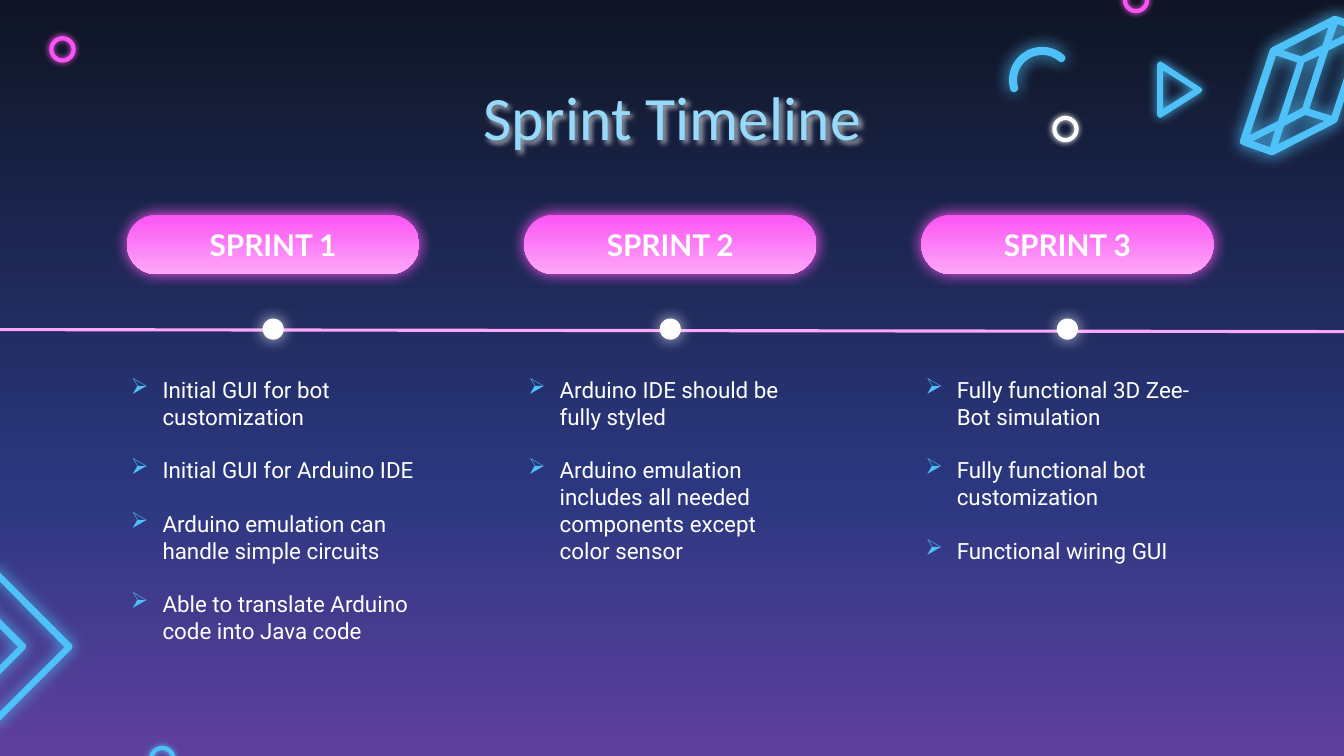
from dataclasses import dataclass
from copy import deepcopy
from math import cos, radians, sin

from lxml.etree import SubElement
from pptx import Presentation
from pptx.dml.color import RGBColor as Rgb
from pptx.enum.shapes import MSO_CONNECTOR as Link, MSO_SHAPE as Preset
from pptx.enum.text import MSO_ANCHOR as Anchor, PP_ALIGN as Align
from pptx.oxml.ns import qn
from pptx.util import Emu, Pt

# Grid: square cells of a tenth of an inch, 75 rows high
CELL = 91440
ROWS = 75
WIDTH = 12192000


@dataclass(frozen=True)
class Theme:
    night: str = "0F1524"
    navy: str = "2B3880"
    violet: str = "5F3F9E"
    blue: str = "4FC1F9"
    sky: str = "95DAFB"
    pink: str = "FB54F4"
    rose: str = "FDA7F9"
    white: str = "FFFFFF"
    title_font: str = "Calibri"
    label_font: str = "Lato"
    body_font: str = "Roboto"
    title_size: float = 44
    label_size: float = 21.3
    body_size: float = 16
    item_gap: float = 19
    inset: float = 1.3
    indent: float = 3.13


def cells(*counts):
    return [Emu(round(count * CELL)) for count in counts]


class Board:
    def __init__(self, slide, theme):
        self.slide, self.shapes, self.theme = slide, slide.shapes, theme

    def gradient(self, fill, owner, stops):
        fill.gradient()
        fill.gradient_angle = 270
        stop_list = owner.xpath(".//a:gsLst")[0]
        while len(stop_list) < len(stops):
            stop_list.append(deepcopy(stop_list[0]))
        for stop, (position, color) in zip(fill.gradient_stops, stops):
            stop.position = position
            stop.color.rgb = Rgb.from_string(color)

    def backdrop(self, stops):
        self.gradient(self.slide.background.fill, self.slide.element, stops)

    def glow(self, shape, color, blur, alpha=100, distance=0):
        properties = shape.element.spPr
        for effects in properties.findall(qn("a:effectLst")):
            properties.remove(effects)
        effects = SubElement(properties, qn("a:effectLst"))
        shadow = SubElement(effects, qn("a:outerShdw"), blurRad=str(Pt(blur)),
                            dist=str(Pt(distance)), dir="2700000",
                            algn="ctr", rotWithShape="0")
        tint = SubElement(shadow, qn("a:srgbClr"), val=color)
        SubElement(tint, qn("a:alpha"), val=str(alpha * 1000))

    def outline(self, contours, blur):
        """Fill closed contours as one shape; inner contours become holes."""
        scaled = [[(x * 100, y * 100) for x, y in contour] for contour in contours]
        builder = self.shapes.build_freeform(*scaled[0][0], scale=CELL / 100)
        for number, points in enumerate(scaled):
            if number:
                builder.move_to(*points[0])
            builder.add_line_segments(points[1:], close=True)
        figure = builder.convert_to_shape()
        figure.fill.solid()
        figure.fill.fore_color.rgb = Rgb.from_string(self.theme.blue)
        figure.line.fill.background()
        self.glow(figure, self.theme.blue, blur)

    def ring(self, left, top, color):
        ring = self.shapes.add_shape(Preset.OVAL, *cells(left, top, 2.2, 2.2))
        ring.fill.background()
        ring.line.color.rgb = Rgb.from_string(color)
        ring.line.width = Pt(3)
        self.glow(ring, color, 4.5)

    def dot(self, center, middle, size):
        dot = self.shapes.add_shape(
            Preset.OVAL, *cells(center - size / 2, middle - size / 2, size, size))
        dot.fill.solid()
        dot.fill.fore_color.rgb = Rgb.from_string(self.theme.white)
        dot.line.fill.background()
        self.glow(dot, self.theme.white, 11.2, 76)

    def line(self, start, end):
        line = self.shapes.add_connector(Link.STRAIGHT, *cells(*start, *end))
        line.line.color.rgb = Rgb.from_string(self.theme.rose)
        line.line.width = Pt(2.25)
        SubElement(line.element.spPr, qn("a:effectLst"))

    def frame(self, shape, anchor=Anchor.TOP):
        frame = shape.text_frame
        frame.word_wrap = True
        frame.vertical_anchor = anchor
        inset, = cells(self.theme.inset)
        frame.margin_left = frame.margin_right = inset
        frame.margin_top = frame.margin_bottom = inset
        return frame

    def words(self, paragraph, text, font, size, color, bold=False, align=Align.LEFT):
        paragraph.alignment = align
        run = paragraph.add_run()
        run.text = text
        run.font.name, run.font.size, run.font.bold = font, Pt(size), bold
        run.font.color.rgb = Rgb.from_string(color)

    def title(self, text, *box):
        heading = self.shapes.add_textbox(*cells(*box))
        self.words(self.frame(heading).paragraphs[0], text, self.theme.title_font,
                   self.theme.title_size, self.theme.sky, align=Align.CENTER)
        self.glow(heading, self.theme.white, 4, 60, 2.5)

    def pill(self, text, *box):
        pill = self.shapes.add_shape(Preset.ROUNDED_RECTANGLE, *cells(*box))
        pill.adjustments[0] = 0.5
        self.gradient(pill.fill, pill.element,
                      [(0, self.theme.pink), (1, self.theme.rose)])
        pill.line.fill.background()
        self.glow(pill, self.theme.pink, 11.2)
        self.words(self.frame(pill, Anchor.MIDDLE).paragraphs[0], text,
                   self.theme.label_font, self.theme.label_size, self.theme.white,
                   bold=True, align=Align.CENTER)

    def bullets(self, items, *box):
        frame = self.frame(self.shapes.add_textbox(*cells(*box)))
        indent, = cells(self.theme.indent)
        for number, item in enumerate(items):
            goal = frame.add_paragraph() if number else frame.paragraphs[0]
            props = goal._p.get_or_add_pPr()
            props.set("marL", str(indent))
            props.set("indent", str(-indent))
            tint = SubElement(props, qn("a:buClr"))
            SubElement(tint, qn("a:srgbClr"), val=self.theme.blue)
            SubElement(props, qn("a:buChar"), char="➢")
            if number:
                goal.space_before = Pt(self.theme.item_gap)
            self.words(goal, item, self.theme.body_font, self.theme.body_size,
                       self.theme.white)


def arc(x, y, radius, start, end, steps):
    turns = [radians(start + (end - start) * i / steps) for i in range(steps + 1)]
    return [(x + radius * cos(turn), y + radius * sin(turn)) for turn in turns]


def round_arc(x, y, radius, half, start, end):
    """Outline of a thick arc with round ends."""
    tail, head = arc(x, y, radius, start, end, 1)
    return (arc(x, y, radius + half, start, end, 24)
            + arc(*head, half, end, end + 180, 8)
            + arc(x, y, radius - half, end, start, 24)
            + arc(*tail, half, start + 180, start + 360, 8))


PRISM = [
    [(132.6, 1.6), (132.3, 1.6), (126.2, 4.7), (126, 4.9), (123, 14), (123, 14.2),
     (123.3, 14.4), (126.1, 15.4), (126.3, 15.4), (132.5, 12.2), (132.7, 12),
     (135.6, 3), (135.6, 2.7), (135.4, 2.5)],
    [(134.3, 3), (132.1, 4.1), (132.7, 2.4)],
    [(131.8, 2.7), (131.2, 4.5), (129.1, 5.6), (127.3, 5)],
    [(134.7, 3.6), (132.1, 11.5), (129.9, 10.8), (131.8, 5)],
    [(130.9, 5.5), (129.2, 10.7), (127.7, 11.5), (129.4, 6.2)],
    [(128.7, 6.2), (126.8, 12), (124, 13.4), (126.6, 5.5)],
    [(131.4, 12), (126.8, 14.3), (127.4, 12.5), (129.5, 11.4)],
    [(126.5, 12.9), (126, 14.6), (124.3, 14)],
]
TRIANGLE = [
    [(115.1, 6.1), (114.9, 6.2), (114.8, 6.4), (114.8, 11.4), (114.9, 11.6),
     (115.1, 11.7), (115.3, 11.6), (119.1, 9.2), (119.3, 8.9), (119.1, 8.7), (115.3, 6.2)],
    [(115.4, 7), (118.4, 8.9), (115.4, 10.8)],
]
CHEVRON = [
    [(-2.9, 59), (-3.1, 59.2), (-2.9, 59.4), (1.8, 64.2), (-2.9, 68.9), (-3.1, 69.2),
     (-2.9, 69.4), (-0.6, 71.7), (-0.4, 71.8), (-0.2, 71.7), (7.1, 64.4), (7.2, 64.1),
     (7.1, 63.9), (-0.2, 56.6), (-0.4, 56.5), (-0.6, 56.6)],
    [(-0.4, 57.3), (6.4, 64.2), (-0.4, 71), (-2.2, 69.1), (2.5, 64.4), (2.6, 64.1),
     (2.5, 63.9), (-2.2, 59.2)],
]
SPRINTS = {
    "SPRINT 1": ["Initial GUI for bot customization", "Initial GUI for Arduino IDE",
                 "Arduino emulation can handle simple circuits",
                 "Able to translate Arduino code into Java code"],
    "SPRINT 2": ["Arduino IDE should be fully styled",
                 "Arduino emulation includes all needed components except color sensor"],
    "SPRINT 3": ["Fully functional 3D Zee-Bot simulation",
                 "Fully functional bot customization", "Functional wiring GUI"],
}


def main():
    deck = Presentation()
    deck.slide_width, deck.slide_height = WIDTH, ROWS * CELL
    theme = Theme()
    board = Board(deck.slides.add_slide(deck.slide_layouts[6]), theme)
    # Night sky and neon ornaments
    board.backdrop([(0, theme.night), (0.65, theme.navy), (1, theme.violet)])
    board.outline(PRISM, 12.4)
    board.outline(TRIANGLE, 7.9)
    board.outline([round_arc(103.4, 7.95, 2.9, 0.4, 164, 311)], 12.4)
    board.outline(CHEVRON, 11.2)
    for left, top, color in [(104.6, 11.7, theme.white), (111.6, -1.1, theme.pink),
                             (15, 74.2, theme.blue), (5.1, 3.8, theme.pink)]:
        board.ring(left, top, color)
    # Title and time line
    board.title("Sprint Timeline", 37.7, 6.5, 58, 8.4)
    board.line((0, 32.7), (WIDTH / CELL, 32.9))
    # One column per sprint
    for column, (sprint, goals) in enumerate(SPRINTS.items()):
        center = 27.1 + 39.4 * column
        board.pill(sprint, center - 14.5, 21.3, 29, 5.9)
        board.dot(center, 32.65, 2.1)
        board.bullets(goals, center - 15.4, 36, 30.7, 10.2)
    deck.save("out.pptx")


if __name__ == "__main__":
    main()
